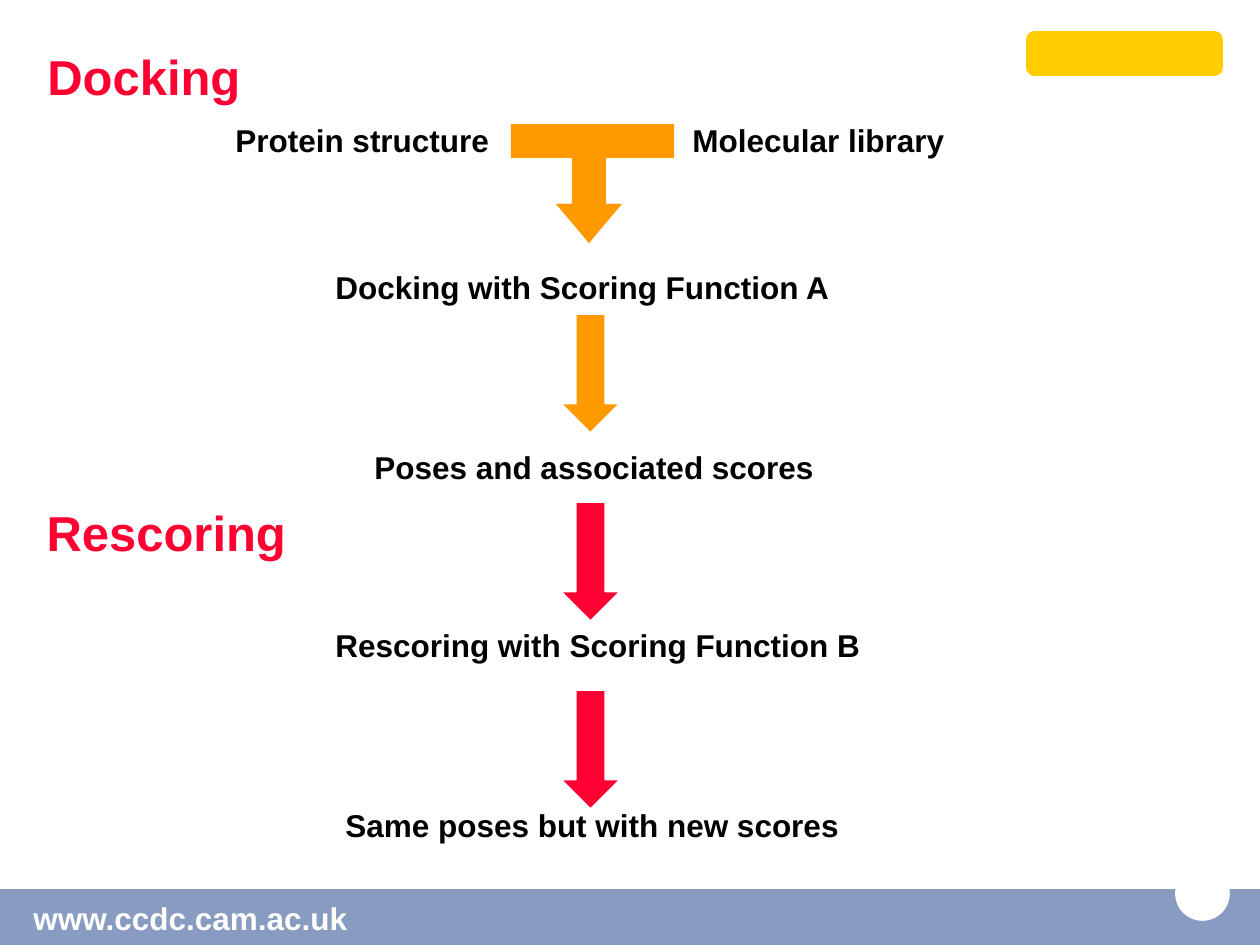
"""Build the docking and rescoring workflow slide."""
from pptx import Presentation
from pptx import util as u
from pptx.dml.color import RGBColor
from pptx.enum import shapes, text

EMU_PER_PX = 914400 / 126
COLORS = {
    "red": "FF0033",
    "orange": "FF9900",
    "yellow": "FFCC00",
    "blue": "889CC1",
    "black": "000000",
    "white": "FFFFFF",
}


def px(length):
    """Turn pixels into EMU."""
    return u.Emu(round(length * EMU_PER_PX))


def rgb(name):
    """Look up a named colour."""
    return RGBColor.from_string(COLORS[name])


class SlideBuilder:
    """Hold the slide and its style, and add each kind of element."""

    font = "Arial"

    def __init__(self, presentation):
        """Start a title-only slide."""
        self.slide = presentation.slides.add_slide(presentation.slide_layouts[5])

    def add_words(self, shape, words, size, color, anchor):
        """Put one bold run into a shape."""
        frame = shape.text_frame
        frame.word_wrap = True
        frame.auto_size = text.MSO_AUTO_SIZE.NONE
        frame.vertical_anchor = anchor
        paragraph = frame.paragraphs[0]
        paragraph.alignment = text.PP_ALIGN.LEFT
        run = paragraph.add_run()
        run.text = words
        run.font.name = self.font
        run.font.size = u.Pt(size)
        run.font.bold = True
        run.font.color.rgb = rgb(color)

    def title(self, words, left, top, width, height):
        """Place and fill the title placeholder."""
        shape = self.slide.shapes.title
        shape.left, shape.top = px(left), px(top)
        shape.width, shape.height = px(width), px(height)
        self.add_words(shape, words, 28, "red", text.MSO_ANCHOR.MIDDLE)

    def label(self, words, left, top, width, height=50, size=18,
              color="black", anchor=text.MSO_ANCHOR.TOP):
        """Add a text box."""
        shape = self.slide.shapes.add_textbox(px(left), px(top), px(width), px(height))
        self.add_words(shape, words, size, color, anchor)

    def paint(self, shape, fill, line=None, weight=1):
        """Set the fill and outline of a shape."""
        shape.shadow.inherit = False
        shape.fill.solid()
        shape.fill.fore_color.rgb = rgb(fill)
        if line:
            shape.line.color.rgb = rgb(line)
            shape.line.width = u.Pt(weight)
        else:
            shape.line.fill.background()

    def preset(self, kind, left, top, width, height, fill, line, weight=1):
        """Add a preset shape."""
        shape = self.slide.shapes.add_shape(
            kind, px(left), px(top), px(width), px(height))
        self.paint(shape, fill, line, weight)

    def bent_arrow(self, edge, tip, neck, head, fill):
        """Add an arrow running from a side edge and turning down to its tip."""
        side = 1 if edge > tip else -1
        top, elbow, shoulder, bottom = 124, 158, 204, 243
        neck, head = side * neck, side * head
        builder = self.slide.shapes.build_freeform(edge, elbow, scale=EMU_PER_PX)
        builder.add_line_segments([
            (tip + neck, elbow), (tip + neck, shoulder), (tip + head, shoulder),
            (tip, bottom), (tip - head, shoulder), (tip - neck, shoulder),
            (tip - neck, top), (edge, top),
        ])
        self.paint(builder.convert_to_shape(), fill)


def main():
    """Compose and save the slide."""
    presentation = Presentation()
    presentation.slide_width, presentation.slide_height = px(1260), px(945)
    builder = SlideBuilder(presentation)
    kinds = shapes.MSO_SHAPE
    middle = text.MSO_ANCHOR.MIDDLE

    builder.preset(kinds.RECTANGLE, 0, 890, 1260, 55, "blue", "blue", 0.75)
    builder.label("www.ccdc.cam.ac.uk", 21, 897, 360, 42, color="white", anchor=middle)
    builder.preset(kinds.OVAL, 1176, 867, 53, 53, "white", "white")
    builder.preset(kinds.ROUNDED_RECTANGLE, 1027, 32, 195, 43, "yellow", "yellow")

    builder.title("Rescoring", 34, 473, 1171, 118)
    for words, left, top, width in [
        ("Docking with Scoring Function A", 323, 262, 566),
        ("Poses and associated scores", 362, 442, 605),
        ("Same poses but with new scores", 333, 800, 605),
        ("Rescoring with Scoring Function B", 323, 620, 576),
        ("Protein structure", 223, 115, 297),
        ("Molecular library", 680, 115, 297),
    ]:
        builder.label(words, left, top, width)

    builder.bent_arrow(674, 589, 17, 33, "orange")
    builder.bent_arrow(511, 589, 16, 31, "orange")
    for step, color in enumerate(["orange", "red", "red"]):
        builder.preset(kinds.DOWN_ARROW, 561, 314 + step * 188, 59, 119, color, "white")

    builder.label("Docking", 35, 17, 1171, 118, 28, "red", middle)
    presentation.save("out.pptx")


if __name__ == "__main__":
    main()
